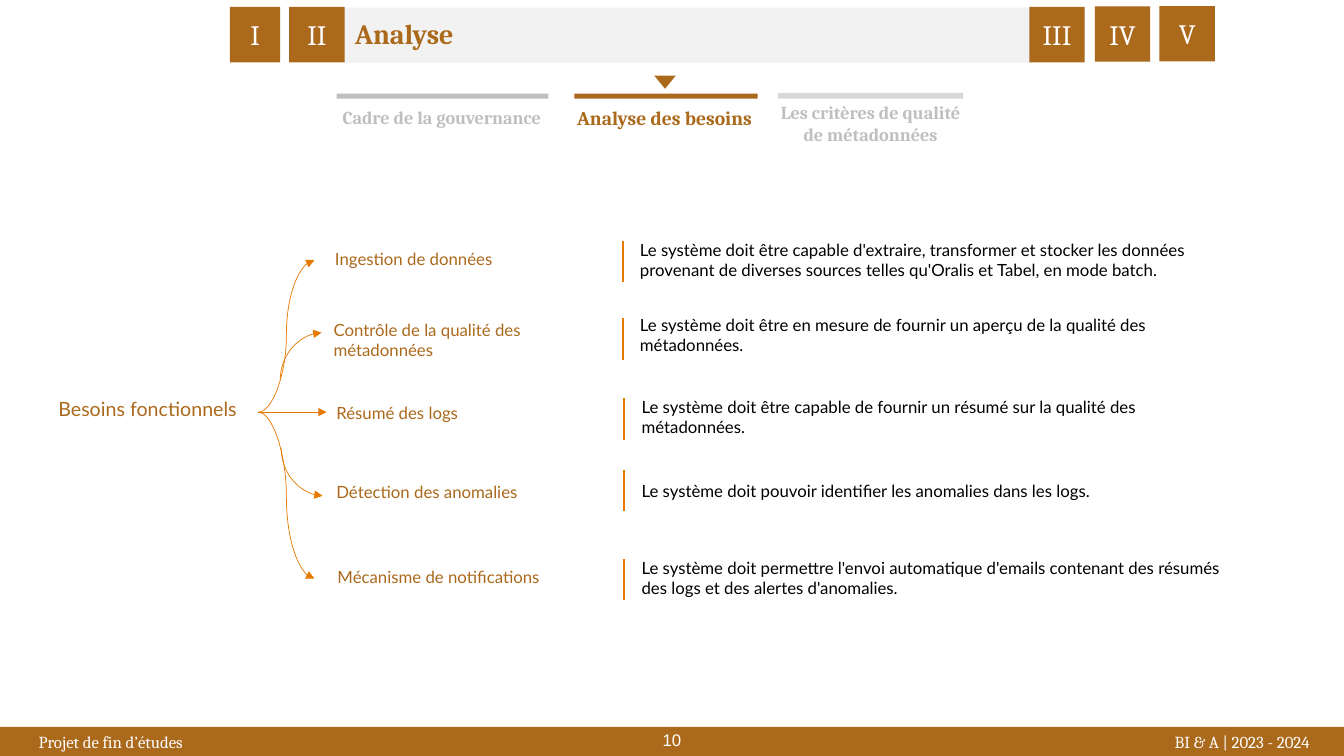
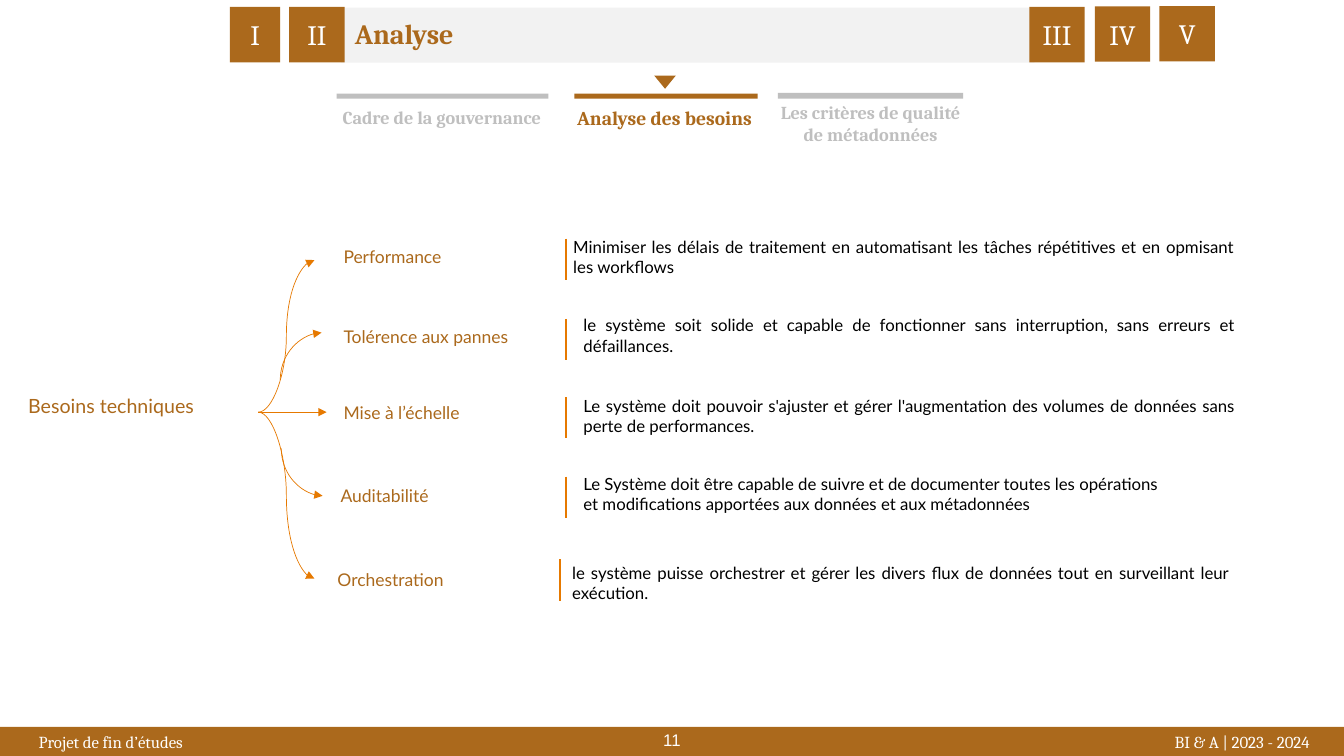
"""Build two slides on the functional and technical needs of a metadata project."""

from dataclasses import dataclass

from lxml.etree import SubElement
from pptx import Presentation
from pptx.dml.color import RGBColor
from pptx.enum.shapes import MSO_CONNECTOR, MSO_SHAPE
from pptx.enum.text import MSO_ANCHOR, PP_ALIGN
from pptx.oxml.ns import qn
from pptx.shapes.autoshape import Shape
from pptx.shapes.connector import Connector
from pptx.slide import Slide
from pptx.util import Pt


@dataclass(frozen=True)
class Theme:
    brown: RGBColor = RGBColor(0xAB, 0x69, 0x1C)
    orange: RGBColor = RGBColor(0xE6, 0x79, 0x00)
    band: RGBColor = RGBColor(0xF2, 0xF2, 0xF2)
    muted: RGBColor = RGBColor(0xBF, 0xBF, 0xBF)
    pale: RGBColor = RGBColor(0xD8, 0xD8, 0xD8)
    white: RGBColor = RGBColor(0xFF, 0xFF, 0xFF)
    black: RGBColor = RGBColor(0, 0, 0)
    heading: str = "Cambria"
    body: str = "Lato"
    number: str = "Arial"
    title_size: float = 20
    topic_size: float = 14
    tab_size: float = 13
    detail_size: float = 12
    hairline: float = 0.5
    rule: float = 1.5


THEME = Theme()
WIDTH, HEIGHT = 960, 540
FOOTER_TOP = 519.2
RULE_HEIGHT = 29.6
LABEL_WIDTH = 172


@dataclass(frozen=True)
class Box:
    left: float
    top: float
    width: float
    height: float


@dataclass(frozen=True)
class Style:
    font: str
    size: float
    color: RGBColor
    bold: bool = False
    align: PP_ALIGN = PP_ALIGN.LEFT
    anchor: MSO_ANCHOR = MSO_ANCHOR.TOP


@dataclass(frozen=True)
class Chapter:
    numeral: str
    box: Box


@dataclass(frozen=True)
class Tab:
    title: str
    bar: Box
    caption: Box
    style: Style


@dataclass(frozen=True)
class Arrow:
    preset: str
    start: tuple[float, float]
    end: tuple[float, float]
    turn: int = 0


@dataclass(frozen=True)
class Need:
    label: str
    label_at: tuple[float, float]
    rule_at: tuple[float, float]
    detail: str
    detail_at: tuple[float, float]
    detail_width: float = 480


@dataclass(frozen=True)
class Page:
    number: int
    topic: str
    topic_at: tuple[float, float]
    label_size: float
    last_tab: RGBColor
    needs: tuple[Need, ...]


CENTER = PP_ALIGN.CENTER
MIDDLE = MSO_ANCHOR.MIDDLE
FOOTER = Style(THEME.heading, THEME.detail_size, THEME.white, align=CENTER)
PAGE_NUMBER = Style(THEME.number, THEME.detail_size, THEME.white, align=CENTER)
TITLE = Style(THEME.heading, THEME.title_size, THEME.brown, bold=True)
NUMERAL = Style(THEME.heading, THEME.title_size, THEME.white, align=CENTER, anchor=MIDDLE)
TOPIC = Style(THEME.body, THEME.topic_size, THEME.brown)
DETAIL = Style(THEME.body, THEME.detail_size, THEME.black, align=PP_ALIGN.JUSTIFY)

CHAPTERS = (
    Chapter("I", Box(164.2, 5, 36, 39.6)),
    Chapter("II", Box(206.6, 5, 39.6, 39.6)),
    Chapter("III", Box(735.2, 5, 39.6, 39.6)),
    Chapter("IV", Box(782, 4.5, 39.6, 39.6)),
    Chapter("V", Box(828.2, 4.3, 39.6, 39.6)),
)

TABS = (
    Tab("Cadre de la gouvernance", Box(240.5, 66.8, 151.2, 3.6), Box(237.6, 72.7, 179.3, 23),
        Style(THEME.heading, THEME.tab_size, THEME.muted, bold=True)),
    Tab("Analyse des besoins", Box(410.2, 66.8, 131, 3.6), Box(371.5, 72, 206.6, 24.5),
        Style(THEME.heading, THEME.topic_size, THEME.brown, bold=True, align=CENTER)),
    Tab("Les critères de qualité de métadonnées", Box(555.6, 66.4, 132.5, 4.2),
        Box(542.2, 77.8, 159.1, 20.9),
        Style(THEME.heading, THEME.tab_size, THEME.muted, bold=True, align=CENTER, anchor=MIDDLE)),
)

ARROWS = (
    Arrow("curvedConnector3", (184.5, 294.4), (224.6, 185.8)),
    Arrow("curvedConnector3", (184.5, 294.4), (224.6, 413.3)),
    Arrow("curvedConnector2", (232.6, 322.5), (198.7, 352)  , 270),
    Arrow("curvedConnector2", (231.8, 269.3), (198, 239.8), 90),
    Arrow("line", (184.5, 294.4), (233.3, 294.4)),
)

PAGES = (
    Page(10, "Besoins fonctionnels", (34.6, 280.1), 12, THEME.pale, (
        Need("Ingestion de données", (232.2, 174.2), (445, 172),
             "Le système doit être capable d'extraire, transformer et stocker les données\n"
             "provenant de diverses sources telles qu'Oralis et Tabel, en mode batch.",
             (450, 167.8)),
        Need("Contrôle de la qualité des\nmétadonnées", (231.2, 224.8), (445, 227.4),
             "Le système doit être en mesure de fournir un aperçu de la qualité des\nmétadonnées.",
             (450, 221.2)),
        Need("Résumé des logs", (233.2, 284.4), (445.7, 284.6),
             "Le système doit être capable de fournir un résumé sur la qualité des\nmétadonnées.",
             (451.2, 280)),
        Need("Détection des anomalies", (233.2, 340.7), (445.7, 335.4),
             "Le système doit pouvoir identifier les anomalies dans les logs.", (451.2, 340)),
        Need("Mécanisme de notifications", (234, 401.2), (445.7, 399.2),
             "Le système doit permettre l'envoi automatique d'emails contenant des résumés\n"
             "des logs et des alertes d'anomalies.", (451.2, 394.8)),
    )),
    Page(11, "Besoins techniques", (13, 277.9), 12.5, THEME.muted, (
        Need("Performance", (238.3, 172.1), (404, 170.5),
             "Minimiser les délais de traitement en automatisant les tâches répétitives "
             "et en opmisant les workflows", (402.4, 165.5), 486.7),
        Need("Tolérence aux pannes", (238.3, 229.6), (404, 227.8),
             "le système soit solide et capable de fonctionner sans interruption, "
             "sans erreurs et défaillances.", (409.6, 221.6)),
        Need("Mise à l’échelle", (238.3, 283.7), (404, 283.6),
             "Le système doit pouvoir s'ajuster et gérer l'augmentation des volumes de données "
             "sans perte de performances.", (409.6, 278.9)),
        Need("Auditabilité", (236.2, 342.6), (404, 340.5),
             "Le Système doit être capable de suivre et de documenter toutes les opérations\n"
             "et modifications apportées aux données et aux métadonnées", (409.6, 335)),
        Need("Orchestration", (234, 402.6), (399.8, 399.6),
             "le système puisse orchestrer et gérer les divers flux de données "
             "tout en surveillant leur exécution.", (401.6, 398.3), 483.8),
    )),
)


def place(box: Box) -> tuple[Pt, ...]:
    return tuple(Pt(side) for side in (box.left, box.top, box.width, box.height))


def write(shape: Shape, text: str, style: Style) -> None:
    frame = shape.text_frame
    frame.word_wrap = True
    frame.vertical_anchor = style.anchor
    frame.text = text
    font_values = {"name": style.font, "size": Pt(style.size), "bold": style.bold}
    for paragraph in frame.paragraphs:
        paragraph.alignment = style.align
        for name, value in font_values.items():
            setattr(paragraph.font, name, value)
        paragraph.font.color.rgb = style.color


def add_text(slide: Slide, text: str, box: Box, style: Style) -> None:
    write(slide.shapes.add_textbox(*place(box)), text, style)


def add_block(slide: Slide, box: Box, color: RGBColor,
              kind: MSO_SHAPE = MSO_SHAPE.RECTANGLE) -> Shape:
    block = slide.shapes.add_shape(kind, *place(box))
    block.shadow.inherit = False
    block.fill.solid()
    block.fill.fore_color.rgb = color
    block.line.fill.background()
    return block


def add_line(slide: Slide, start: tuple[float, float], end: tuple[float, float], weight: float,
             kind: MSO_CONNECTOR = MSO_CONNECTOR.STRAIGHT) -> Connector:
    ends = (Pt(value) for value in (*start, *end))
    line = slide.shapes.add_connector(kind, *ends)
    line.line.color.rgb = THEME.orange
    line.line.width = Pt(weight)
    SubElement(line.element.spPr, qn("a:effectLst"))
    return line


def add_arrow(slide: Slide, arrow: Arrow) -> None:
    straight = arrow.preset == "line"
    kind = MSO_CONNECTOR.STRAIGHT if straight else MSO_CONNECTOR.CURVE
    branch = add_line(slide, arrow.start, arrow.end, THEME.hairline, kind)
    properties = branch.element.spPr
    properties.find(qn("a:prstGeom")).set("prst", arrow.preset)
    if arrow.turn:
        properties.find(qn("a:xfrm")).set("rot", str(arrow.turn * 60000))
    SubElement(properties.find(qn("a:ln")), qn("a:tailEnd"), type="triangle")


def add_frame(slide: Slide, page: Page) -> None:
    add_block(slide, Box(0, FOOTER_TOP, WIDTH, HEIGHT - FOOTER_TOP), THEME.brown)
    add_text(slide, "Projet de fin d’études", Box(0, FOOTER_TOP, 158.4, 21.6), FOOTER)
    add_text(slide, "BI & A | 2023 - 2024", Box(812, FOOTER_TOP, 150.5, 21.6), FOOTER)
    add_text(slide, str(page.number), Box(372, 517.7, 216, 24.5), PAGE_NUMBER)
    add_block(slide, Box(243.4, 5.4, 495.4, 39.4), THEME.band)
    add_text(slide, "Analyse", Box(246.4, 8.6, 188, 31.7), TITLE)
    for chapter in CHAPTERS:
        write(add_block(slide, chapter.box, THEME.brown), chapter.numeral, NUMERAL)
    pointer = add_block(slide, Box(467.3, 54, 15.4, 9.4), THEME.brown,
                        MSO_SHAPE.ISOSCELES_TRIANGLE)
    pointer.rotation = 180
    for tab, color in zip(TABS, (THEME.muted, THEME.brown, page.last_tab)):
        add_block(slide, tab.bar, color)
        add_text(slide, tab.title, tab.caption, tab.style)


def add_needs(slide: Slide, page: Page) -> None:
    label_style = Style(THEME.body, page.label_size, THEME.brown)
    add_text(slide, page.topic, Box(*page.topic_at, 150, 24.5), TOPIC)
    for arrow in ARROWS:
        add_arrow(slide, arrow)
    for need in page.needs:
        left, top = need.rule_at
        add_text(slide, need.label, Box(*need.label_at, LABEL_WIDTH, 22), label_style)
        add_line(slide, (left, top), (left, top + RULE_HEIGHT), THEME.rule)
        add_text(slide, need.detail, Box(*need.detail_at, need.detail_width, 36), DETAIL)


def main() -> None:
    deck = Presentation()
    deck.slide_width, deck.slide_height = Pt(WIDTH), Pt(HEIGHT)
    for page in PAGES:
        slide = deck.slides.add_slide(deck.slide_layouts[6])
        add_frame(slide, page)
        add_needs(slide, page)
    deck.save("out.pptx")


if __name__ == "__main__":
    main()
